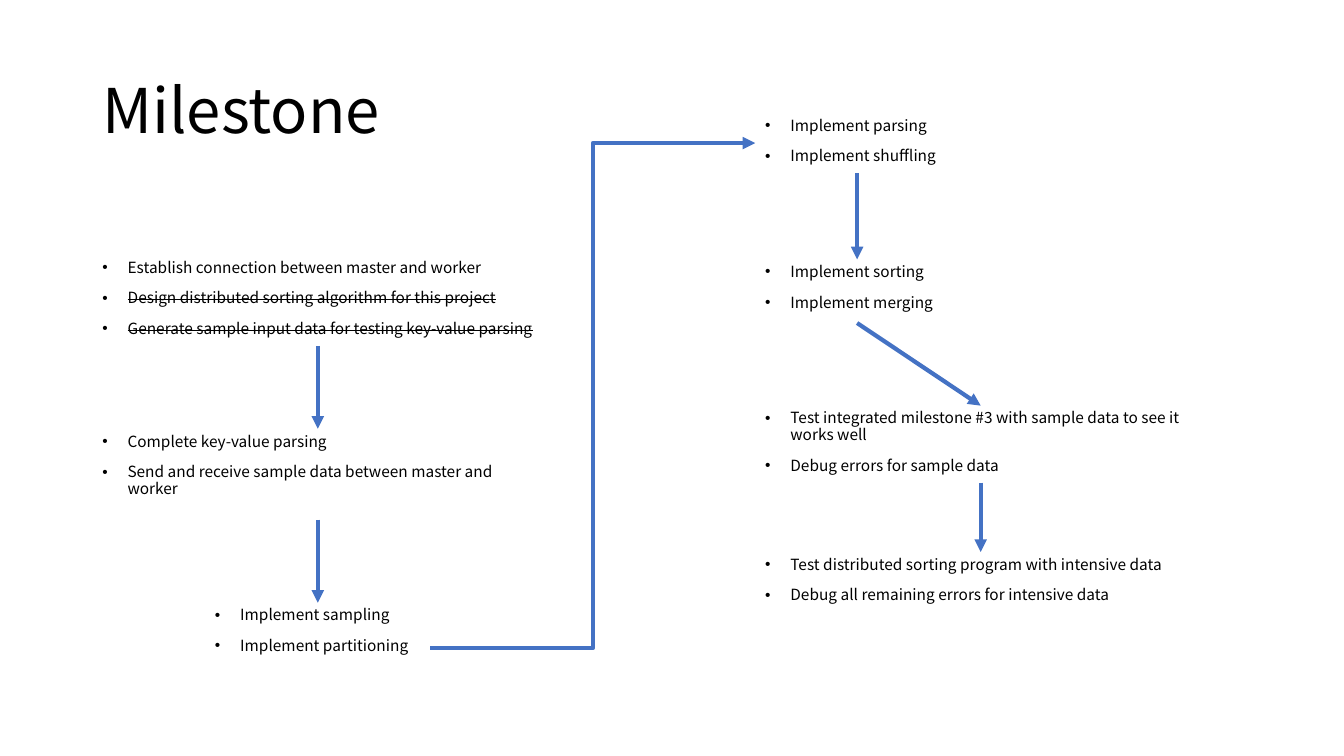
import pptx
import pptx.util
import pptx.dml.color
import pptx.enum.shapes
import pptx.enum.text
import pptx.oxml.ns
from lxml import etree

Pt = pptx.util.Pt
qn = pptx.oxml.ns.qn
FONT = "Noto Sans CJK KR"
BLACK, BLUE = "000000", "4472C4"
TOP, LEFT, BOTTOM, RIGHT = 0, 1, 2, 3  # connection sites

# Bullet texts, with True where the item is struck through
SETUP = [("Establish connection between master and worker", False),
         ("Design distributed sorting algorithm for this project", True),
         ("Generate sample input data for testing key-value parsing", True)]
LEFT_STEPS = [  # left, width, items
    (66, 322, [("Complete key-value parsing", False),
               ("Send and receive sample data between master and worker", False)]),
    (146.5, 161, [("Implement sampling", False), ("Implement partitioning", False)]),
]
RIGHT_STEPS = [  # width, height, items
    (145.5, 43, [("Implement parsing", False), ("Implement shuffling", False)]),
    (145.5, 45.5, [("Implement sorting", False), ("Implement merging", False)]),
    (322, 55, [("Test integrated milestone #3 with sample data to see it works well", False),
               ("Debug errors for sample data", False)]),
    (322, 43, [("Test distributed sorting program with intensive data", False),
               ("Debug all remaining errors for intensive data", False)]),
]


def rgb(value):
    return pptx.dml.color.RGBColor.from_string(value)


def place(sp, left, top, width, height):
    sp.left, sp.top, sp.width, sp.height = Pt(left), Pt(top), Pt(width), Pt(height)


def format_run(r, size):
    r.font.name = FONT
    r.font.size = Pt(size)
    r.font.color.rgb = rgb(BLACK)


def format_title(sp, text):
    place(sp, 66, 28.75, 828, 104.5)
    tf = sp.text_frame
    tf.text = text
    tf.auto_size = pptx.enum.text.MSO_AUTO_SIZE.NONE
    tf.vertical_anchor = pptx.enum.text.MSO_ANCHOR.MIDDLE
    p = tf.paragraphs[0]
    p.alignment = pptx.enum.text.PP_ALIGN.LEFT
    p.line_spacing = 0.9
    format_run(p.runs[0], 44)


def fill_list(sp, items):
    tf = sp.text_frame
    tf.word_wrap = True
    tf.auto_size = pptx.enum.text.MSO_AUTO_SIZE.NONE
    tf.text = "\n".join(text for text, _ in items)
    for p, (_, struck) in zip(tf.paragraphs, items):
        p.line_spacing = 0.9
        p.space_before = Pt(10)
        r = p.runs[0]
        format_run(r, 11)
        if struck:
            r.font._element.set("strike", "sngStrike")
        # Hanging bullet
        pPr = p._p.get_or_add_pPr()
        pPr.set("marL", str(Pt(18)))
        pPr.set("indent", str(-Pt(18)))
        etree.SubElement(pPr, qn("a:buFont")).set("typeface", "Arial")
        etree.SubElement(pPr, qn("a:buChar")).set("char", "•")


def add_list(s, left, top, width, height, items):
    sp = s.shapes.add_textbox(Pt(left), Pt(top), Pt(width), Pt(height))
    fill_list(sp, items)
    return sp


def add_arrow(s, start, end, sites=(BOTTOM, TOP), kind="STRAIGHT"):
    line_type = pptx.enum.shapes.MSO_CONNECTOR[kind]
    arrow = s.shapes.add_connector(line_type, 0, 0, 0, 0)
    arrow.begin_connect(start, sites[0])
    arrow.end_connect(end, sites[1])
    arrow.line.color.rgb = rgb(BLUE)
    arrow.line.width = Pt(3)
    ln = arrow.line._get_or_add_ln()
    etree.SubElement(ln, qn("a:tailEnd")).set("type", "triangle")
    etree.SubElement(arrow._element.spPr, qn("a:effectLst"))


def main():
    prs = pptx.Presentation()
    prs.slide_width, prs.slide_height = Pt(960), Pt(540)
    s = prs.slides.add_slide(prs.slide_layouts[1])

    # Title and first list
    format_title(s.shapes.title, "Milestone")
    setup = s.placeholders[1]
    place(setup, 66, 182, 322, 65)
    fill_list(setup, SETUP)

    # Remaining lists, evenly stepped down each column
    left_column = [setup] + [
        add_list(s, left, 182 + 124.25 * i, width, 65, items)
        for i, (left, width, items) in enumerate(LEFT_STEPS, 1)]
    right_column = [
        add_list(s, 539.5, 80.75 + 104.5 * i, width, height, items)
        for i, (width, height, items) in enumerate(RIGHT_STEPS)]

    # Arrows down each column, and one from the left column to the right
    for column in (left_column, right_column):
        for start, end in zip(column, column[1:]):
            add_arrow(s, start, end)
    add_arrow(s, left_column[-1], right_column[0], (RIGHT, LEFT), "ELBOW")

    prs.save("out.pptx")


if __name__ == "__main__":
    main()
